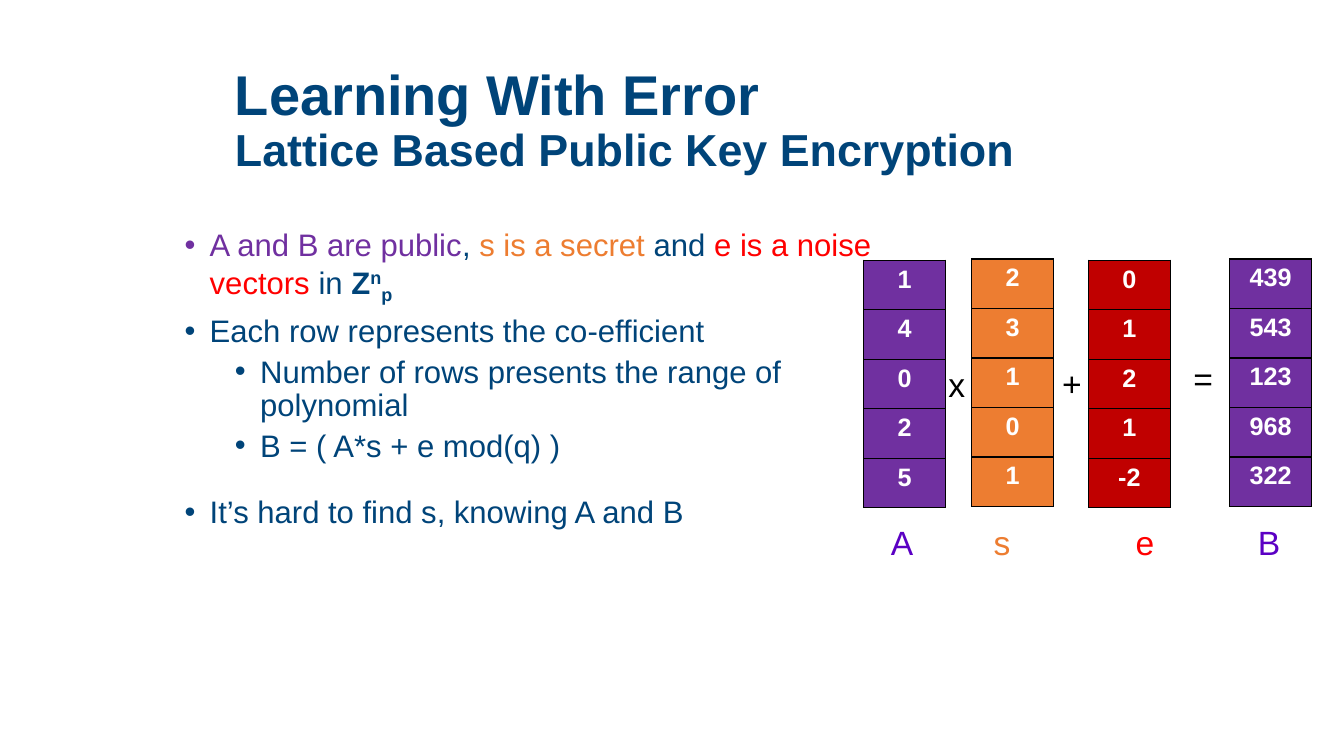
from lxml.etree import SubElement
from pptx import Presentation
from pptx.dml.color import RGBColor
from pptx.enum.text import MSO_ANCHOR, MSO_AUTO_SIZE, PP_ALIGN
from pptx.oxml import parse_xml
from pptx.oxml.ns import nsdecls, qn
from pptx.util import Pt

NAVY, PURPLE, VIOLET = "004479", "7030A0", "5B00C4"
ORANGE, RED, CRIMSON = "ED7D31", "FF0000", "C00000"
WHITE, BLACK = "FFFFFF", "000000"


def rgb(code):
    return RGBColor.from_string(code)


def style(run, size, color, bold=False):
    font = run.font
    font.name, font.size, font.bold = "Arial", Pt(size), bold
    font.color.rgb = rgb(color)


def place(shape, left, top, width, height):
    shape.left, shape.top = Pt(left), Pt(top)
    shape.width, shape.height = Pt(width), Pt(height)


def add_title(slide, box):
    title = slide.shapes.title
    place(title, *box)
    frame = title.text_frame
    frame.text = "Learning With Error\vLattice Based Public Key Encryption"
    frame.auto_size = MSO_AUTO_SIZE.NONE
    frame.vertical_anchor = MSO_ANCHOR.MIDDLE
    para = frame.paragraphs[0]
    para.alignment, para.line_spacing = PP_ALIGN.LEFT, 0.9
    for run, size in zip(para.runs, (40, 32)):
        style(run, size, NAVY, True)
    SubElement(para._p.find(qn("a:br")), qn("a:rPr"), sz="4000")


def set_bullet(para, indent):
    props = para._p.get_or_add_pPr()
    props.set("marL", str(Pt(indent)))
    props.set("indent", str(Pt(-18)))
    SubElement(props, qn("a:buFont"), typeface="Arial")
    SubElement(props, qn("a:buChar"), char="•")


def add_list(slide, box):
    """Fill the body; each run is text, colour, bold and baseline in percent."""
    items = [
        (0, 0.9, [("A and B are public", PURPLE, False, 0), (", ", NAVY, False, 0),
                  ("s is a secret ", ORANGE, False, 0), ("and ", NAVY, False, 0),
                  ("e is a noise vectors ", RED, False, 0), ("in ", NAVY, False, 0),
                  ("Z", NAVY, True, 0), ("n", NAVY, True, 30), ("p", NAVY, True, -25)]),
        (0, 0.9, [("Each row represents the co-efficient", NAVY, False, 0)]),
        (1, 0.9, [("Number of rows presents the range of polynomial", NAVY, False, 0)]),
        (1, 0.9, [("B = ( A*s + e mod(q) )", NAVY, False, 0)]),
        (0, 1.4, [("It’s hard to find s, knowing A and B", NAVY, False, 0)]),
    ]
    body = slide.placeholders[1]
    place(body, *box)
    frame = body.text_frame
    frame.auto_size = MSO_AUTO_SIZE.NONE
    for i, (level, spacing, parts) in enumerate(items):
        para = frame.add_paragraph() if i else frame.paragraphs[0]
        para.level, para.line_spacing = level, spacing
        para.space_before = Pt(5 if level else 10)
        set_bullet(para, 54 if level else 18)
        for text, color, bold, shift in parts:
            run = para.add_run()
            run.text = text
            style(run, 22.2, color, bold)
            if shift:
                run._r.get_or_add_rPr().set("baseline", str(shift * 1000))


def add_sign(slide, left, top, text, color=BLACK):
    box = slide.shapes.add_textbox(Pt(left), Pt(top), Pt(22.5), Pt(36))
    frame = box.text_frame
    frame.text = text
    frame.word_wrap = False
    style(frame.paragraphs[0].runs[0], 24, color)


def add_border(cell):
    props = cell._tc.get_or_add_tcPr()
    for side in "LRTB":
        props.append(parse_xml(
            f'<a:ln{side} w="12700" {nsdecls("a")}><a:solidFill>'
            f'<a:srgbClr val="{BLACK}"/></a:solidFill></a:ln{side}>'))


def add_vector(slide, box, values, fill):
    left, top, width, height = box
    table = slide.shapes.add_table(
        len(values), 1, Pt(left), Pt(top), Pt(width), Pt(height)).table
    table.first_row = table.horz_banding = False
    for row, value in enumerate(values):
        table.rows[row].height = Pt(height / len(values))
        cell = table.cell(row, 0)
        add_border(cell)
        cell.fill.solid()
        cell.fill.fore_color.rgb = rgb(fill)
        cell.text = str(value)
        para = cell.text_frame.paragraphs[0]
        para.alignment = PP_ALIGN.CENTER
        style(para.runs[0], 18, WHITE, True)


def add_sum(slide, box):
    """Draw A x s + e = B as columns with names below and signs between."""
    left, top, width, height = box
    vectors = [
        (0, 0.8, (1, 4, 0, 2, 5), PURPLE, "A", 12.3, VIOLET),
        (77.1, 0, (2, 3, 1, 0, 1), ORANGE, "s", 8.6, ORANGE),
        (160.6, 0.8, (0, 1, 2, 1, -2), CRIMSON, "e", 26.6, RED),
        (261.4, 0, (439, 543, 123, 968, 322), PURPLE, "B", 13, VIOLET),
    ]
    for x, y, values, fill, name, shift, color in vectors:
        add_vector(slide, (left + x, top + y, width, height), values, fill)
        add_sign(slide, left + x + shift, top + height + 7, name, color)
    for x, y, sign in ((53.3, 71.3, "x"), (134.7, 70.6, "+"), (228.3, 67, "=")):
        add_sign(slide, left + x, top + y, sign)


def main():
    deck = Presentation()
    deck.slide_width, deck.slide_height = Pt(960), Pt(540)
    slide = deck.slides.add_slide(deck.slide_layouts[1])
    add_title(slide, (160.6, 40.3, 756, 93.6))
    add_list(slide, (124.6, 160.6, 517.7, 234.7))
    add_sum(slide, (617, 185, 58.3, 177))
    deck.save("out.pptx")


if __name__ == "__main__":
    main()
